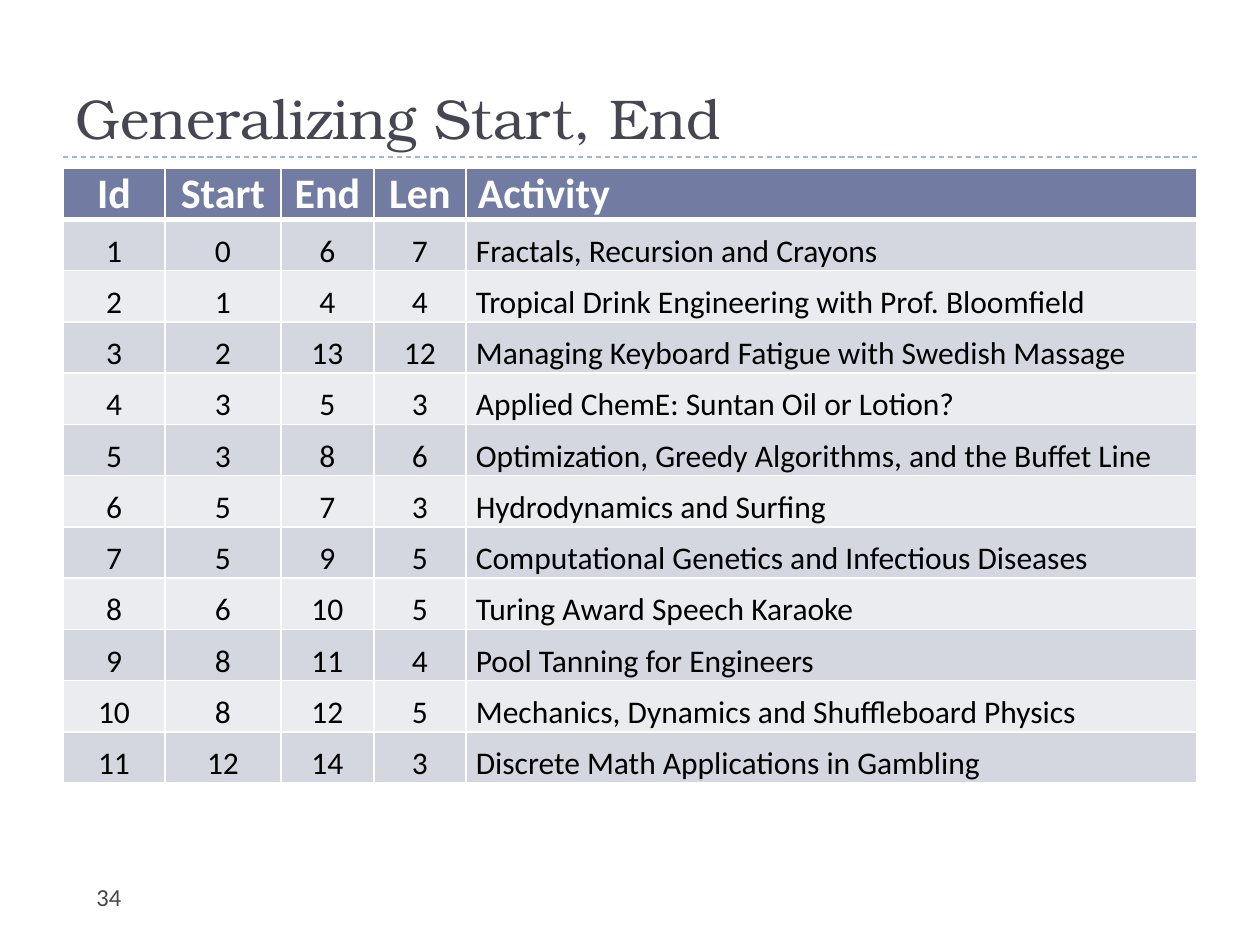
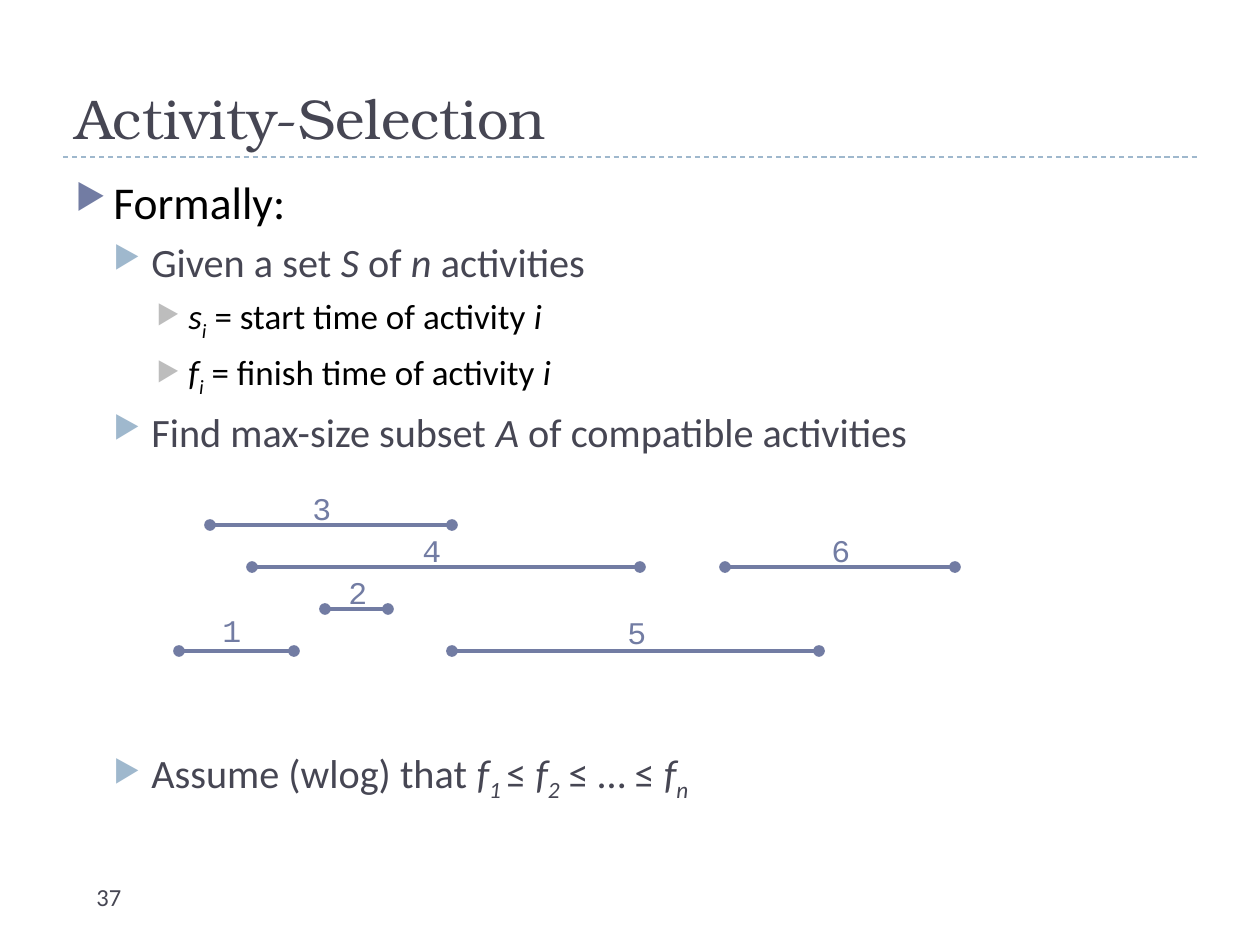
"""Build two lecture slides on activity selection: a schedule table and a formal statement."""
from lxml import etree
from pptx import Presentation
from pptx import util as u
from pptx.dml.color import RGBColor
from pptx.enum import dml, shapes, text
from pptx.oxml import ns

PX = u.Inches(1) / 126
INK = RGBColor(0x46, 0x46, 0x53)
BLACK = RGBColor(0, 0, 0)
WHITE = RGBColor(0xFF, 0xFF, 0xFF)
INDIGO = RGBColor(0x72, 0x7C, 0xA3)
SKY = RGBColor(0x9F, 0xB8, 0xCD)
SILVER = RGBColor(0xBD, 0xBD, 0xBD)
BAND_DARK = RGBColor(0xD5, 0xD7, 0xE0)
BAND_LIGHT = RGBColor(0xEB, 0xEC, 0xF0)
SERIF, SANS, MONO = "TeX Gyre Bonum", "Calibri", "Courier New"


def write(paragraph, content, size=18, color=INK, font=SANS, bold=False, style=""):
    run = paragraph.add_run()
    run.text = content
    run.font.size = u.Pt(size)
    run.font.name = font
    run.font.bold = bold
    run.font.italic = style != ""
    run.font.color.rgb = color
    if style == "subscript":
        run.font._element.set("baseline", "-25000")


def draw_line(slide, left, right, y, color, width):
    start, end, height = (round(length * PX) for length in (left, right, y))
    line = slide.shapes.add_connector(shapes.MSO_CONNECTOR.STRAIGHT, start, height, end, height)
    line.line.color.rgb = color
    line.line.width = u.Pt(width)
    etree.SubElement(line._element.spPr, ns.qn("a:effectLst"))
    return line


presentation = Presentation()
presentation.slide_width = round(1260 * PX)
presentation.slide_height = round(945 * PX)

slides = []
for title, number in (("Generalizing Start, End", "34"), ("Activity-Selection", "37")):
    slide = presentation.slides.add_slide(presentation.slide_layouts[6])
    rule = draw_line(slide, 63, 1197, 157, SKY, 0.75)
    rule.line.dash_style = dml.MSO_LINE.DASH
    for content, place, size, font, anchor in (
        (title, (63, 21, 1134, 136), 32, SERIF, text.MSO_ANCHOR.BOTTOM),
        (number, (84, 876, 273, 50), 14, SANS, text.MSO_ANCHOR.TOP),
    ):
        frame = slide.shapes.add_textbox(*(round(length * PX) for length in place)).text_frame
        frame.word_wrap = True
        frame.vertical_anchor = anchor
        write(frame.paragraphs[0], content, size=size, font=font)
    slides.append(slide)
schedule_slide, formal_slide = slides

schedule = (
    ("Id", "Start", "End", "Len", "Activity"),
    (1, 0, 6, 7, "Fractals, Recursion and Crayons"),
    (2, 1, 4, 4, "Tropical Drink Engineering with Prof. Bloomfield"),
    (3, 2, 13, 12, "Managing Keyboard Fatigue with Swedish Massage"),
    (4, 3, 5, 3, "Applied ChemE: Suntan Oil or Lotion?"),
    (5, 3, 8, 6, "Optimization, Greedy Algorithms, and the Buffet Line"),
    (6, 5, 7, 3, "Hydrodynamics and Surfing"),
    (7, 5, 9, 5, "Computational Genetics and Infectious Diseases"),
    (8, 6, 10, 5, "Turing Award Speech Karaoke"),
    (9, 8, 11, 4, "Pool Tanning for Engineers"),
    (10, 8, 12, 5, "Mechanics, Dynamics and Shuffleboard Physics"),
    (11, 12, 14, 3, "Discrete Math Applications in Gambling"),
)
column_widths = (102, 116, 93, 92, 731)
table = schedule_slide.shapes.add_table(
    len(schedule), len(column_widths), *(round(length * PX) for length in (63, 168, 1134, 615))
).table
for column, width in zip(table.columns, column_widths):
    column.width = round(width * PX)

for row_index, row in enumerate(schedule):
    header = row_index == 0
    for column_index, value in enumerate(row):
        activity = column_index == 4
        cell = table.cell(row_index, column_index)
        cell.vertical_anchor = text.MSO_ANCHOR.BOTTOM
        cell.margin_left = round((1 if not activity else 12 if header else 10) * PX)
        cell.margin_right = cell.margin_top = round(PX)
        cell.margin_bottom = 0
        top, bottom = (3 if row_index == 1 else 1), (3 if header else 1)
        for side, points in (("L", 1), ("R", 1), ("T", top), ("B", bottom)):
            border = etree.SubElement(
                cell._tc.get_or_add_tcPr(), ns.qn(f"a:ln{side}"), w=str(u.Pt(points))
            )
            fill = etree.SubElement(border, ns.qn("a:solidFill"))
            etree.SubElement(fill, ns.qn("a:srgbClr"), val=str(WHITE))
        cell.fill.solid()
        cell.fill.fore_color.rgb = INDIGO if header else BAND_DARK if row_index % 2 else BAND_LIGHT
        paragraph = cell.text_frame.paragraphs[0]
        paragraph.alignment = text.PP_ALIGN.LEFT if activity else text.PP_ALIGN.CENTER
        write(paragraph, str(value), size=24 if header else 18,
              color=WHITE if header else BLACK, bold=header)

levels = (
    {"left": 38, "hang": 38, "size": 26, "color": BLACK, "bullet": INDIGO},
    {"left": 76, "hang": 38, "size": 23, "color": INK, "bullet": SKY},
    {"left": 113, "hang": 32, "size": 20, "color": BLACK, "bullet": SILVER},
)
statements = (
    (0, 0, [("Formally:", "")]),
    (1, 5, [("Given a set ", ""), ("S", "italic"), (" of ", ""), ("n", "italic"),
            (" activities", "")]),
    (2, 5, [("s", "italic"), ("i", "subscript"), (" = start time of activity ", ""),
            ("i", "italic")]),
    (2, 5, [("f", "italic"), ("i", "subscript"), (" = finish time of activity ", ""),
            ("i", "italic")]),
    (1, 5, [("Find max-size subset ", ""), ("A", "italic"), (" of compatible activities", "")]),
    (1, 167, [("Assume (wlog) that ", ""), ("f", "italic"), ("1 ", "subscript"), ("≤ ", ""),
              ("f", "italic"), ("2", "subscript"), (" ≤ … ≤ ", ""), ("f", "italic"),
              ("n", "subscript")]),
)
frame = formal_slide.shapes.add_textbox(
    *(round(length * PX) for length in (63, 168, 1134, 680))
).text_frame
frame.word_wrap = True
for index, (depth, space_before, parts) in enumerate(statements):
    level = levels[depth]
    paragraph = frame.add_paragraph() if index else frame.paragraphs[0]
    properties = paragraph._p.get_or_add_pPr()
    properties.set("marL", str(round(level["left"] * PX)))
    properties.set("indent", str(round(-level["hang"] * PX)))
    bullet_color = etree.SubElement(properties, ns.qn("a:buClr"))
    etree.SubElement(bullet_color, ns.qn("a:srgbClr"), val=str(level["bullet"]))
    etree.SubElement(properties, ns.qn("a:buSzPct"), val="76000")
    etree.SubElement(properties, ns.qn("a:buChar"), char="▶")
    paragraph.level = depth
    paragraph.alignment = text.PP_ALIGN.JUSTIFY
    if index:
        paragraph.space_before = u.Pt(space_before)
    for content, style in parts:
        write(paragraph, content, size=level["size"], color=level["color"], style=style)

intervals = (
    ("1", 179, 294, 651, 210, 605),
    ("2", 325, 388, 609, 336, 567),
    ("3", 210, 452, 525, 300, 483),
    ("4", 252, 640, 567, 410, 525),
    ("5", 452, 819, 651, 615, 607),
    ("6", 725, 955, 567, 819, 525),
)
for name, start, finish, y, label_left, label_top in intervals:
    interval = draw_line(formal_slide, start, finish, y, INDIGO, 2.25)
    for end in ("headEnd", "tailEnd"):
        etree.SubElement(interval.line._get_or_add_ln(), ns.qn(f"a:{end}"), type="oval")
    label = formal_slide.shapes.add_textbox(
        *(round(length * PX) for length in (label_left, label_top, 47, 54))
    )
    label.text_frame.word_wrap = False
    write(label.text_frame.paragraphs[0], name, color=INDIGO, font=MONO)

presentation.save("out.pptx")
